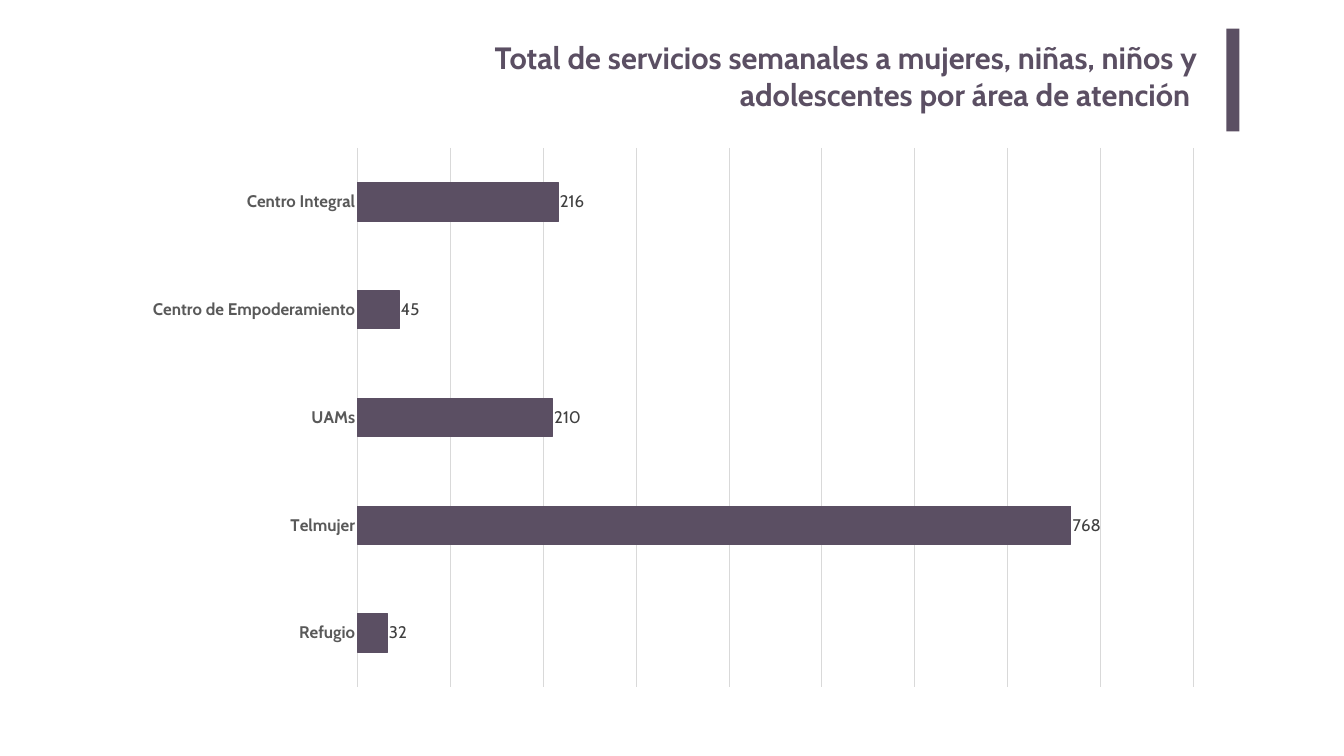
from dataclasses import dataclass

from lxml.etree import SubElement
from pptx import Presentation
from pptx.chart.data import CategoryChartData
from pptx.dml.color import RGBColor
from pptx.enum.chart import XL_CHART_TYPE, XL_LABEL_POSITION, XL_TICK_MARK
from pptx.enum.shapes import MSO_SHAPE
from pptx.enum.text import MSO_ANCHOR, MSO_AUTO_SIZE, PP_ALIGN
from pptx.oxml.ns import qn
from pptx.util import Pt


@dataclass(frozen=True)
class Theme:
    font: str = "Cabin"
    accent: RGBColor = RGBColor(0x5B, 0x4F, 0x63)
    category: RGBColor = RGBColor(0x59, 0x59, 0x59)
    value: RGBColor = RGBColor(0x40, 0x40, 0x40)
    grid: RGBColor = RGBColor(0xD9, 0xD9, 0xD9)
    title_size: int = 44
    label_size: int = 24
    hairline: float = 0.75


THEME = Theme()
TITLE = "Total de servicios semanales a mujeres, niñas, niños y adolescentes por área de atención "
SERVICES = {
    "Centro Integral": 216,
    "Centro de Empoderamiento": 45,
    "UAMs": 210,
    "Telmujer": 768,
    "Refugio": 32,
}
# Boxes are left, top, width, height in points.
TITLE_BOX = (472.3, 48.2, 1252.8, 146.9)
ACCENT_BOX = (1751.8, 41, 18.7, 146.9)
CHART_BOX = (184.3, 195.1, 1551.6, 802.1)
PLOT_FRACTIONS = {"x": 0.21, "y": 0.02, "w": 0.77, "h": 0.96}


def style_font(font, size, color, bold=False):
    font.name = THEME.font
    font.size = Pt(size)
    font.bold = bold
    font.color.rgb = color


def style_line(line, color):
    line.color.rgb = color
    line.width = Pt(THEME.hairline)


def place_title(slide, box):
    title = slide.shapes.title
    title.left, title.top, title.width, title.height = map(Pt, box)
    frame = title.text_frame
    frame.text = TITLE
    frame.word_wrap = True
    frame.auto_size = MSO_AUTO_SIZE.NONE
    frame.vertical_anchor = MSO_ANCHOR.TOP
    frame.margin_left = frame.margin_right = Pt(14.4)
    frame.margin_top = frame.margin_bottom = Pt(7.2)
    heading = frame.paragraphs[0]
    heading.alignment = PP_ALIGN.RIGHT
    style_font(heading.runs[0].font, THEME.title_size, THEME.accent, bold=True)


def place_accent_bar(slide, box):
    bar = slide.shapes.add_shape(MSO_SHAPE.RECTANGLE, *map(Pt, box))
    bar.shadow.inherit = False
    bar.fill.solid()
    bar.fill.fore_color.rgb = THEME.accent
    bar.line.fill.background()


def fix_plot_area(chart, fractions):
    """Set the inner plot area as fractions of the chart."""
    plot_area = chart.plots[0]._element.getparent()
    layout = plot_area.find(qn("c:layout"))
    if layout is None:
        layout = SubElement(plot_area, qn("c:layout"))
        plot_area.insert(0, layout)
    manual = SubElement(layout, qn("c:manualLayout"))
    settings = {"layoutTarget": "inner", "xMode": "edge", "yMode": "edge", **fractions}
    for tag, value in settings.items():
        SubElement(manual, qn(f"c:{tag}")).set("val", str(value))


def place_services_chart(slide, box):
    data = CategoryChartData()
    data.categories = SERVICES.keys()
    data.add_series("Series 1", SERVICES.values())
    chart = slide.shapes.add_chart(XL_CHART_TYPE.BAR_CLUSTERED, *map(Pt, box), data).chart
    chart.has_title = False
    chart.has_legend = False
    style_font(chart.font, THEME.label_size, THEME.value)
    fix_plot_area(chart, PLOT_FRACTIONS)

    areas = chart.category_axis
    areas.reverse_order = True
    areas.major_tick_mark = areas.minor_tick_mark = XL_TICK_MARK.NONE
    style_line(areas.format.line, THEME.grid)
    style_font(areas.tick_labels.font, THEME.label_size, THEME.category, bold=True)

    scale = chart.value_axis
    scale.minimum_scale, scale.maximum_scale, scale.major_unit = 0, 900, 100
    scale.visible = False
    scale.has_major_gridlines = True
    style_line(scale.major_gridlines.format.line, THEME.grid)

    plot = chart.plots[0]
    plot.gap_width = 182
    plot.vary_by_categories = False
    services = plot.series[0]
    services.format.fill.solid()
    services.format.fill.fore_color.rgb = THEME.accent
    style_line(services.format.line, THEME.accent)
    labels = services.data_labels
    labels.show_value = True
    labels.position = XL_LABEL_POSITION.OUTSIDE_END
    style_font(labels.font, THEME.label_size, THEME.value)


def main():
    deck = Presentation()
    deck.slide_width, deck.slide_height = Pt(1920), Pt(1080)
    slide = deck.slides.add_slide(deck.slide_layouts.get_by_name("Title Only"))
    place_title(slide, TITLE_BOX)
    place_accent_bar(slide, ACCENT_BOX)
    place_services_chart(slide, CHART_BOX)
    deck.save("out.pptx")


if __name__ == "__main__":
    main()
